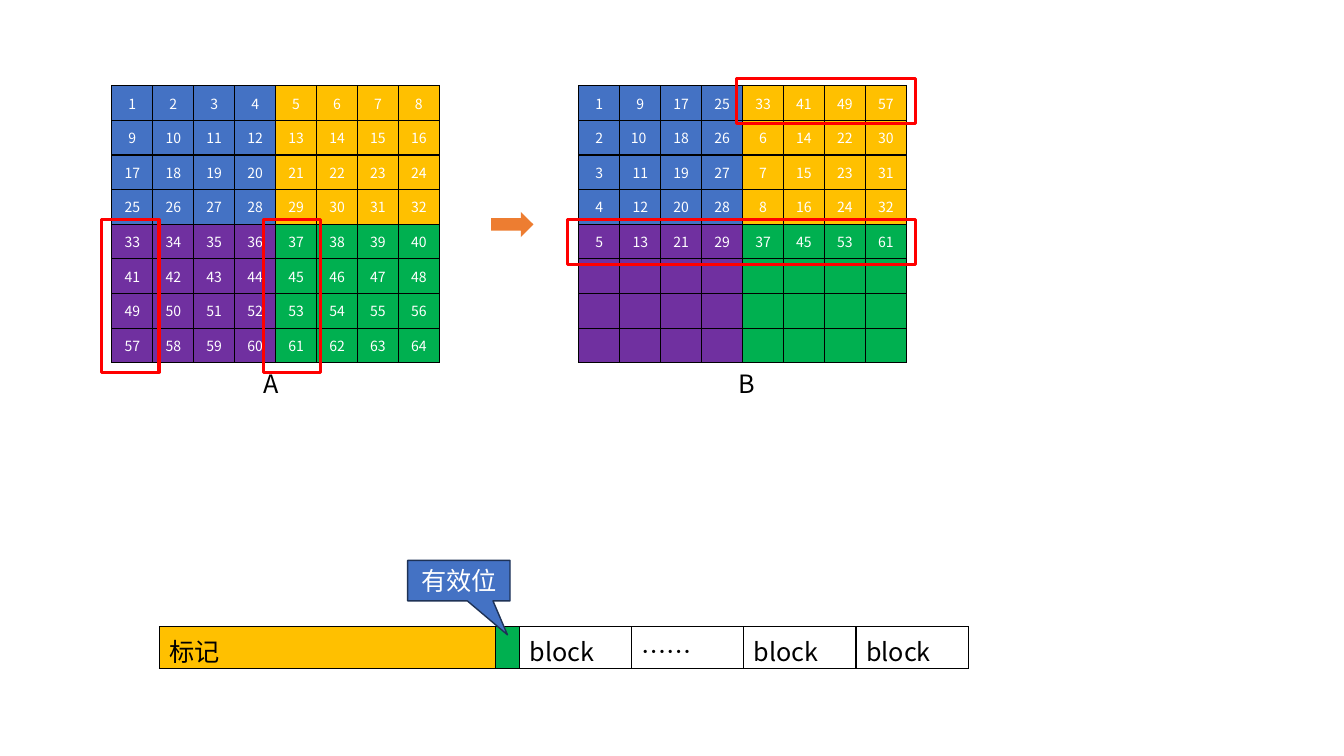
from lxml import etree
from pptx import Presentation
from pptx.dml.color import RGBColor
from pptx.enum.shapes import MSO_SHAPE
from pptx.enum.text import MSO_ANCHOR, PP_ALIGN
from pptx.oxml.ns import qn
from pptx.util import Inches, Pt

RECT = MSO_SHAPE.RECTANGLE
ARROW = MSO_SHAPE.RIGHT_ARROW
CALLOUT = MSO_SHAPE.RECTANGULAR_CALLOUT
TOP, MIDDLE = MSO_ANCHOR.TOP, MSO_ANCHOR.MIDDLE
LEFT, CENTER = PP_ALIGN.LEFT, PP_ALIGN.CENTER

FONT = "Noto Sans CJK SC"
BLUE, GOLD, PURPLE, GREEN = "4472C4", "FFC000", "7030A0", "00B050"
ORANGE, RED, NAVY = "ED7D31", "FF0000", "1E3256"
BLACK, WHITE = "000000", "FFFFFF"

N, HALF = 8, 4
QUADRANTS = [[BLUE, GOLD], [PURPLE, GREEN]]
MATRIX_A = [[r * N + c + 1 for c in range(N)] for r in range(N)]
MATRIX_B = [
    [1, 9, 17, 25, 33, 41, 49, 57],
    [2, "10 ", 18, 26, 6, 14, 22, 30],
    [3, 11, 19, 27, 7, 15, 23, 31],
    [4, 12, 20, 28, 8, 16, 24, 32],
    [5, 13, 21, 29, 37, 45, 53, 61],
] + [[""] * N] * 3
CACHE_LINE = [
    ("标记", GOLD, 8.2),
    ("", GREEN, 0.58),
    ("block", None, 2.74),
    ("……", None, 2.74),
    ("block", None, 2.74),
    ("block", None, 2.74),
]

ORIGIN_X, ORIGIN_Y = 1.11, 0.85
CELL_W, CELL_H = 3.25 / N, 2.75 / N
B_COL = 11.4
MATRICES = [(MATRIX_A, 0), (MATRIX_B, B_COL)]
LABELS = [("A", 3.47), ("B", B_COL + 3.65)]
HIGHLIGHTS = [
    (B_COL + 3.84, -0.2, 4.38, 1.3),
    (B_COL - 0.27, 3.87, 8.5, 1.3),
    (-0.25, 3.87, 1.4, 4.4),
    (3.7, 3.87, 1.4, 4.4),
]

prs = Presentation()
prs.slide_width, prs.slide_height = Inches(13.33), Inches(7.5)
s = prs.slides.add_slide(prs.slide_layouts[6])


def rgb(value):
    return RGBColor.from_string(value)


def place(col, row, cols, rows):
    return (Inches(ORIGIN_X + col * CELL_W), Inches(ORIGIN_Y + row * CELL_H),
            Inches(cols * CELL_W), Inches(rows * CELL_H))


def paint(fill, color):
    if color:
        fill.solid()
        fill.fore_color.rgb = rgb(color)
    else:
        fill.background()


def write(tf, text, size, color, align):
    p = tf.paragraphs[0]
    p.alignment = align
    if not text:
        p._p.get_or_add_endParaRPr().set("sz", str(size * 100))
        return
    r = p.add_run()
    r.text = text
    for name, value in {"size": Pt(size), "name": FONT}.items():
        setattr(r.font, name, value)
    r.font.color.rgb = rgb(color)
    ea = etree.SubElement(r.font._element, qn("a:ea"))
    ea.set("typeface", FONT)


def add_borders(cell):
    tc_pr = cell._tc.get_or_add_tcPr()
    for i, side in enumerate(("lnL", "lnR", "lnT", "lnB")):
        ln = etree.Element(qn(f"a:{side}"), w=str(Pt(1)))
        fill = etree.SubElement(ln, qn("a:solidFill"))
        etree.SubElement(fill, qn("a:srgbClr"), val=BLACK)
        tc_pr.insert(i, ln)


def add_grid(rows, col, row, widths, height, size, color, align, cell_format):
    box = place(col, row, sum(widths), height * len(rows))
    table = s.shapes.add_table(len(rows), len(widths), *box).table
    table.first_row = table.horz_banding = False
    for column, width in zip(table.columns, widths):
        column.width = Inches(width * CELL_W)
    for i, cells in enumerate(rows):
        table.rows[i].height = Inches(height * CELL_H)
        for j, (text, fill) in enumerate(cells):
            cell = table.cell(i, j)
            for name, value in cell_format.items():
                setattr(cell, name, value)
            paint(cell.fill, fill)
            add_borders(cell)
            write(cell.text_frame, text, size, color, align)


def add_shape(kind, box, fill=None, line=None, width=1):
    sp = s.shapes.add_shape(kind, *place(*box))
    sp.shadow.inherit = False
    paint(sp.fill, fill)
    paint(sp.line.fill, line)
    if line:
        sp.line.width = Pt(width)
    return sp


MATRIX_FORMAT = {
    "vertical_anchor": MIDDLE,
    "margin_left": Inches(0.06), "margin_right": Inches(0.06),
    "margin_top": Inches(0.03), "margin_bottom": Inches(0.03),
}
for matrix, col in MATRICES:
    rows = [[(str(v), QUADRANTS[r // HALF][c // HALF]) for c, v in enumerate(values)]
            for r, values in enumerate(matrix)]
    add_grid(rows, col, 0, [1] * N, 1, 10, WHITE, CENTER, MATRIX_FORMAT)

for text, col in LABELS:
    tf = s.shapes.add_textbox(*place(col, N, 2.4, 1.17)).text_frame
    tf.word_wrap = True
    write(tf, text, 18, BLACK, LEFT)

add_shape(ARROW, (9.26, 3.64, 1.03, 0.73), ORANGE)
for box in HIGHLIGHTS:
    add_shape(RECT, box, line=RED, width=2.25)

add_grid([[(text, fill) for text, fill, _ in CACHE_LINE]], 1.16, 15.62,
         [width for _, _, width in CACHE_LINE], 1.2, 18, BLACK, LEFT,
         {"vertical_anchor": TOP})

callout = add_shape(CALLOUT, (7.22, 13.7, 2.5, 1.17), BLUE, NAVY)
callout.adjustments[0], callout.adjustments[1] = 0.475, 1.336
callout.text_frame.vertical_anchor = MIDDLE
write(callout.text_frame, "有效位", 18, WHITE, CENTER)

prs.save("out.pptx")
